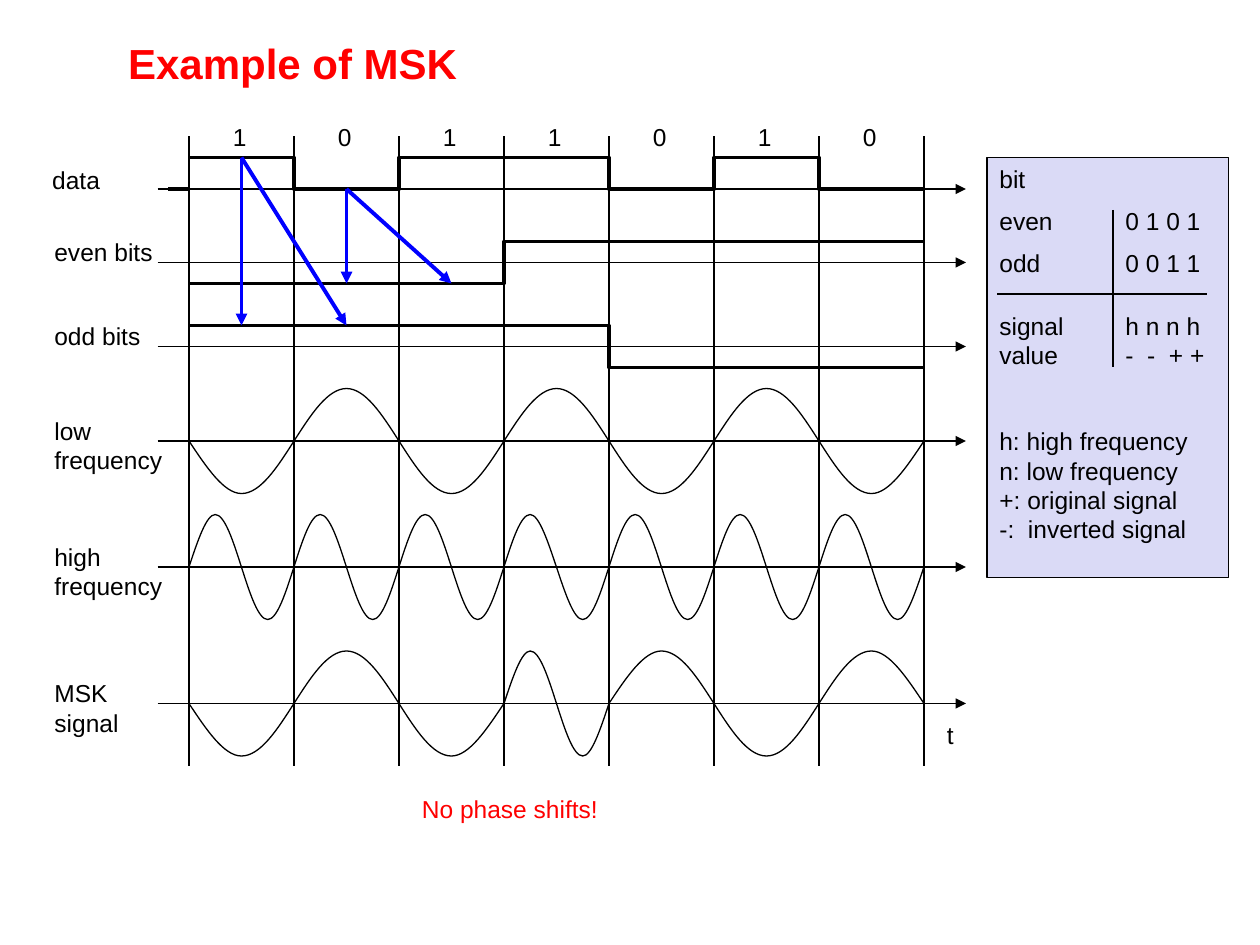
from lxml import etree
from pptx import Presentation
from pptx import util as u
from pptx.dml.color import RGBColor
from pptx.enum import shapes, text
from pptx.oxml.ns import qn

SCALE = 7620
BIT = 100
BLACK, RED, BLUE, LILAC = "000000", "FF0000", "0000FF", "DADAF6"
DATA = "1011010"


def px(length):
    """Turn px into EMU."""
    return u.Emu(round(length * SCALE))


def color(value):
    """Turn a hex string into a colour."""
    return RGBColor.from_string(value)


def set_line(shape, line_color, points):
    """Give a shape or connector its line."""
    shape.line.color.rgb = color(line_color)
    shape.line.width = u.Pt(points)


def add_line(slide, start, end, line_color=BLACK, points=0.75, arrow=False):
    """Draw a straight line, with an arrowhead at its end if wanted."""
    connector = slide.shapes.add_connector(
        shapes.MSO_CONNECTOR.STRAIGHT, *map(px, start + end))
    set_line(connector, line_color, points)
    properties = connector.element.spPr
    if arrow:
        outline = properties.find(qn("a:ln"))
        etree.SubElement(outline, qn("a:tailEnd"), type="triangle")
    etree.SubElement(properties, qn("a:effectLst"))


def add_outline(slide, points, width):
    """Draw an open, unfilled line through the points."""
    points = [(px(x), px(y)) for x, y in points]
    builder = slide.shapes.build_freeform(*points[0])
    builder.add_line_segments(points[1:], close=False)
    shape = builder.convert_to_shape()
    shape.fill.background()
    shape.shadow.inherit = False
    set_line(shape, BLACK, width)
    return shape


def add_steps(slide, levels, left, high, low):
    """Draw a square wave with a corner wherever the level changes."""
    heights = [high if level == "1" else low for level in levels]
    points = [(left, heights[0])]
    for index in range(1, len(heights)):
        if heights[index] != heights[index - 1]:
            x = left + BIT * index
            points += [(x, heights[index - 1]), (x, heights[index])]
    points.append((left + BIT * len(levels), heights[-1]))
    add_outline(slide, points, 2.25)


def add_wave(slide, left, axis, half_width, count, sign, height=50):
    """Draw alternating half waves as Bézier curves from peak to peak."""
    peaks = [(left + half_width * (index + 0.5),
              axis - sign * height * (-1) ** index) for index in range(count)]
    third, pull = half_width / 6, half_width * 0.36
    x, y = peaks[0]
    points = [(left, axis), (left + third, (axis + y) / 2), (x - third, y), (x, y)]
    for (x, y), (next_x, next_y) in zip(peaks, peaks[1:]):
        points += [(x + pull, y), (next_x - pull, next_y), (next_x, next_y)]
    x, y = peaks[-1]
    right = left + half_width * count
    points += [(x + third, y), (right - third, (axis + y) / 2), (right, axis)]
    outline = add_outline(slide, points, 0.75)
    segments = list(outline.element.iter(qn("a:lnTo")))
    for first, second, third_segment in zip(*[iter(segments)] * 3):
        first.tag_name = None
        curve = etree.Element(qn("a:cubicBezTo"))
        first.addprevious(curve)
        for segment in (first, second, third_segment):
            curve.append(segment[0])
            segment.getparent().remove(segment)


def add_label(slide, left, top, width, words, height=41, font_color=BLACK):
    """Place unwrapped 14 pt text with a tab stop after one inch."""
    box = slide.shapes.add_textbox(*map(px, (left, top, width, height)))
    frame = box.text_frame
    frame.word_wrap = False
    frame.auto_size = text.MSO_AUTO_SIZE.SHAPE_TO_FIT_TEXT
    frame.text = words
    for paragraph in frame.paragraphs:
        paragraph.font.name = "Arial"
        paragraph.font.size = u.Pt(14)
        paragraph.font.color.rgb = color(font_color)
        if "\t" in words:
            tabs = etree.Element(qn("a:tabLst"))
            etree.SubElement(tabs, qn("a:tab"), pos=str(px(120)), algn="l")
            paragraph._p.get_or_add_pPr().insert(0, tabs)


def add_title(slide, left, top, width, height):
    """Format and place the title."""
    title = slide.shapes.title
    title.left, title.top, title.width, title.height = map(
        px, (left, top, width, height))
    title.text_frame.text = "Example of MSK"
    title.text_frame.vertical_anchor = text.MSO_ANCHOR.MIDDLE
    paragraph = title.text_frame.paragraphs[0]
    paragraph.alignment = text.PP_ALIGN.LEFT
    paragraph.font.name = "Arial"
    paragraph.font.size = u.Pt(24)
    paragraph.font.bold = True
    paragraph.font.color.rgb = color(RED)


def add_diagram(slide, left, top, height):
    """Draw the bit grid with its square waves, sine waves and labels."""
    right = left + BIT * len(DATA)
    rows = [
        ("data", 50, -142, 29, 74, 41), ("even bits", 120, -140, 30, 122, 41),
        ("odd bits", 200, -140, 30, 110, 41),
        ("low\vfrequency", 290, -140, 30, 132, 68),
        ("high\vfrequency", 410, -140, 30, 132, 68),
        ("MSK\nsignal", 540, -140, 30, 90, 68),
    ]
    for words, axis, indent, rise, width, label_height in rows:
        y = top + axis
        add_line(slide, (left - 30, y), (right + 40, y), arrow=True)
        add_label(slide, left + indent, y - rise, width, words, label_height)
    for index in range(len(DATA) + 1):
        x = left + BIT * index
        add_line(slide, (x, top), (x, top + height))
    for index, bit in enumerate(DATA):
        add_label(slide, left + 30 + BIT * index, top - 20, 37, bit)

    add_line(slide, (left, top + 50), (left - 20, top + 50), points=2.25)
    for levels, high, low in ((DATA, 20, 50), ("0001111", 100, 140),
                              ("1111000", 180, 220)):
        add_steps(slide, levels, left, top + high, top + low)
    for start, end in (((50, 20), (50, 180)), ((50, 20), (150, 180)),
                       ((150, 50), (150, 140)), ((150, 50), (250, 140))):
        add_line(slide, (left + start[0], top + start[1]),
                 (left + end[0], top + end[1]), BLUE, 2.25, True)

    half = BIT // 2
    for start, axis, half_width, count, sign in (
            (0, 290, BIT, 7, -1),
            (0, 410, half, 7, 1), (350, 410, half, 7, -1),
            (0, 540, BIT, 3, -1), (300, 540, half, 2, 1), (400, 540, BIT, 3, 1)):
        add_wave(slide, left + start, top + axis, half_width, count, sign)
    add_label(slide, right + 10, top + 550, 30, "t")
    add_label(slide, left + 210, top + 620, 194, "No phase shifts!",
              font_color="FE0000")


def add_legend(slide, left, top, width, height):
    """Draw the panel that maps bit pairs to signals."""
    panel = slide.shapes.add_shape(
        shapes.MSO_SHAPE.RECTANGLE, *map(px, (left, top, width, height)))
    panel.shadow.inherit = False
    panel.fill.solid()
    panel.fill.fore_color.rgb = color(LILAC)
    set_line(panel, BLACK, 0.75)
    notes = ("h: high frequency\nn: low frequency\n"
             "+: original signal\n-:  inverted signal")
    for words, y, label_width, label_height in (
            ("bit", 0, 54, 41), ("even\t0 1 0 1", 40, 222, 41),
            ("odd\t0 0 1 1", 80, 222, 41),
            ("signal\th n n h\vvalue\t-  -  + +", 140, 226, 68),
            (notes, 250, 214, 125)):
        add_label(slide, left, top + y, label_width, words, label_height)
    add_line(slide, (left + 10, top + 130), (left + 210, top + 130), points=1.5)
    add_line(slide, (left + 120, top + 50), (left + 120, top + 200), points=1.5)


def main():
    """Build the slide and save it."""
    presentation = Presentation()
    presentation.slide_width, presentation.slide_height = px(1200), px(900)
    slide = presentation.slides.add_slide(presentation.slide_layouts[5])
    add_title(slide, 110, 30, 1020, 60)
    add_diagram(slide, 180, 130, 600)
    add_legend(slide, 940, 150, 230, 400)
    presentation.save("out.pptx")


if __name__ == "__main__":
    main()
